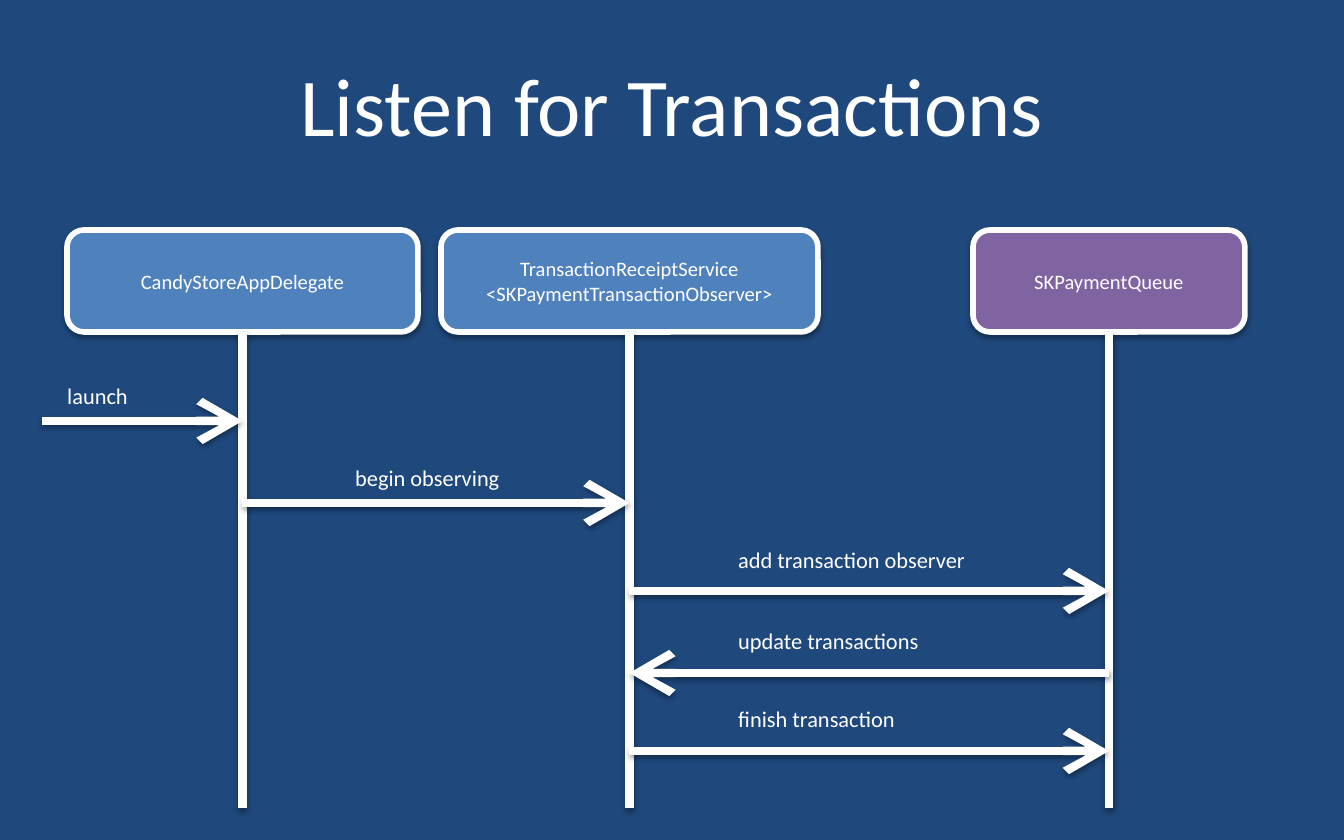
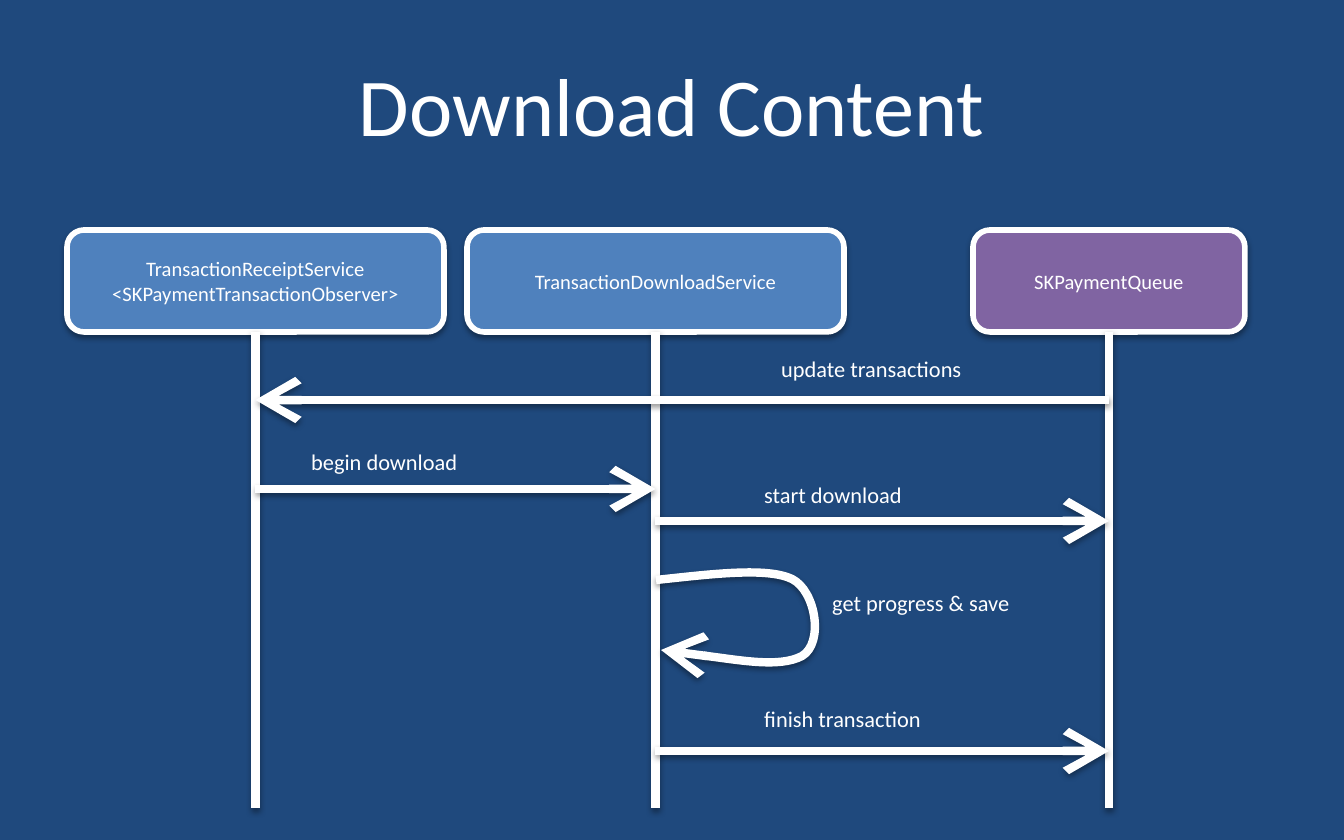
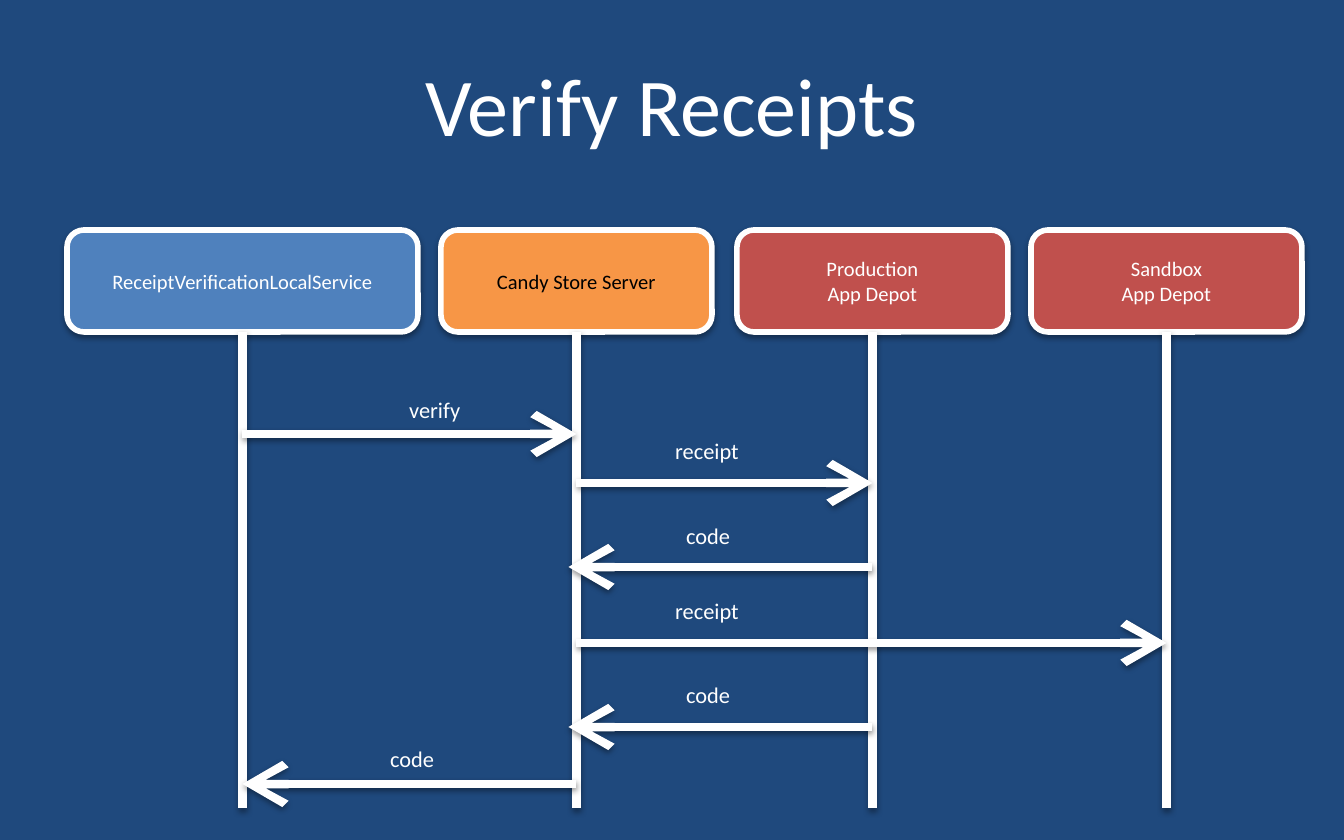
import pptx
import pptx.dml.color
import pptx.enum.shapes
import pptx.enum.text
import pptx.oxml
import pptx.oxml.ns
import pptx.util
from collections import namedtuple

PX = 914400 / 134.4  # EMU in one px
FONT = "Calibri"
NAVY, WHITE, BLACK = "1F497D", "FFFFFF", "000000"
BLUE, PURPLE, ORANGE, RED = "4F81BD", "8064A2", "F79646", "C0504D"
HEAD_HEIGHT = 102
LABEL_HEIGHT = 40

Box = namedtuple("Box", "left top width height")
SLIDE_BOX = Box(0, 0, 1344, 840)
TITLE_BOX = Box(67, 34, 1210, 140)
DIAGRAM_BOX = Box(67, 230, 1235, 578)

Align = pptx.enum.text.PP_ALIGN
Participant = namedtuple("Participant", "name left width fill ink", defaults=[BLUE, WHITE])
# start and end are participant indexes; None means outside the diagram
Message = namedtuple("Message", "start end y label label_left label_width rise overshoot",
                     defaults=[52, 0])
Loop = namedtuple("Loop", "column y label label_box")


def emu(px):
    return pptx.util.Emu(round(px * PX))


def rgb(color):
    return pptx.dml.color.RGBColor.from_string(color)


def placed(box, outer):
    """Box given relative to outer, in EMU on the slide."""
    return (emu(outer.left + box.left), emu(outer.top + box.top),
            emu(box.width), emu(box.height))


def style_text(frame, size, color, align):
    for paragraph in frame.paragraphs:
        paragraph.alignment = align
        for run in paragraph.runs:
            run.font.name = FONT
            run.font.size = pptx.util.Pt(size)
            run.font.color.rgb = rgb(color)


def add_shadow(shape):
    properties = shape._element.spPr
    effects = properties.find(pptx.oxml.ns.qn("a:effectLst"))
    if effects is not None:
        properties.remove(effects)
    properties.append(pptx.oxml.parse_xml(
        f'<a:effectLst {pptx.oxml.ns.nsdecls("a")}>'
        '<a:outerShdw blurRad="40000" dist="20000" dir="5400000" rotWithShape="0">'
        '<a:srgbClr val="000000"><a:alpha val="38000"/></a:srgbClr>'
        '</a:outerShdw></a:effectLst>'))


def style_line(shape, points, arrow=False):
    shape.line.color.rgb = rgb(WHITE)
    shape.line.width = pptx.util.Pt(points)
    if arrow:
        shape.line._get_or_add_ln().append(pptx.oxml.parse_xml(
            f'<a:tailEnd {pptx.oxml.ns.nsdecls("a")} type="arrow" w="lg" len="lg"/>'))
    add_shadow(shape)


def add_line(slide, outer, start, end, arrow=False):
    ends = [emu(origin + offset) for point in (start, end)
            for origin, offset in zip((outer.left, outer.top), point)]
    line = slide.shapes.add_connector(pptx.enum.shapes.MSO_CONNECTOR.STRAIGHT, *ends)
    style_line(line, 4.5, arrow)


def add_label(slide, outer, box, text):
    label = slide.shapes.add_textbox(*placed(box, outer))
    label.text_frame.word_wrap = True
    label.text_frame.text = text
    style_text(label.text_frame, 12, WHITE, Align.LEFT)


def center(participant):
    return participant.left + participant.width / 2


def add_participant(slide, outer, participant):
    head = slide.shapes.add_shape(
        pptx.enum.shapes.MSO_SHAPE.ROUNDED_RECTANGLE,
        *placed(Box(participant.left, 0, participant.width, HEAD_HEIGHT), outer))
    head.fill.solid()
    head.fill.fore_color.rgb = rgb(participant.fill)
    style_line(head, 3)
    head.text_frame.word_wrap = True
    head.text_frame.vertical_anchor = pptx.enum.text.MSO_ANCHOR.MIDDLE
    head.text_frame.text = participant.name
    style_text(head.text_frame, 11, participant.ink, Align.CENTER)
    # lifeline under the head
    x = center(participant)
    add_line(slide, outer, (x, HEAD_HEIGHT), (x, outer.height))


def add_message(slide, outer, centers, message):
    start = -25 if message.start is None else centers[message.start]
    end = centers[message.end] - message.overshoot
    add_line(slide, outer, (start, message.y), (end, message.y), arrow=True)
    add_label(slide, outer, Box(message.label_left, message.y - message.rise,
                                message.label_width, LABEL_HEIGHT), message.label)


def add_loop(slide, outer, centers, loop):
    x = round(outer.left + centers[loop.column])
    y = outer.top + loop.y
    # three curves: two control points and an end point each
    bends = [(56, -6), (111, -13), (136, -1), (160, 11), (168, 63), (146, 76),
             (123, 88), (29, 73), (5, 70)]
    builder = slide.shapes.build_freeform(x, y, scale=PX)
    builder.add_line_segments([(x + dx, y + dy) for dx, dy in bends], close=False)
    curve = builder.convert_to_shape()
    qn = pptx.oxml.ns.qn
    segments = list(curve._element.iter(qn("a:lnTo")))
    outline = segments[0].getparent()
    for first in range(0, len(segments), 3):
        bezier = outline.makeelement(qn("a:cubicBezTo"), {})
        outline.append(bezier)
        for segment in segments[first:first + 3]:
            bezier.append(segment[0])
            outline.remove(segment)
    curve.fill.background()
    style_line(curve, 4.5, arrow=True)
    add_label(slide, outer, loop.label_box, loop.label)


def add_diagram(slide, outer, participants, messages, loops=()):
    centers = [center(participant) for participant in participants]
    for participant in participants:
        add_participant(slide, outer, participant)
    for message in messages:
        add_message(slide, outer, centers, message)
    for loop in loops:
        add_loop(slide, outer, centers, loop)


def add_sequence_slide(prs, title, *diagram):
    slide = prs.slides.add_slide(prs.slide_layouts[5])
    heading = slide.shapes.title
    heading.left, heading.top, heading.width, heading.height = placed(TITLE_BOX, SLIDE_BOX)
    heading.text_frame.text = title
    heading.text_frame.vertical_anchor = pptx.enum.text.MSO_ANCHOR.MIDDLE
    style_text(heading.text_frame, 44, WHITE, Align.CENTER)
    add_diagram(slide, DIAGRAM_BOX, *diagram)


RECEIPT_SERVICE = Participant(
    "TransactionReceiptService\n<SKPaymentTransactionObserver>", 374, 377)
PAYMENT_QUEUE = Participant("SKPaymentQueue", 906, 272, PURPLE)


def main():
    prs = pptx.Presentation()
    prs.slide_width, prs.slide_height = emu(SLIDE_BOX.width), emu(SLIDE_BOX.height)
    background = prs.slide_master.background.fill
    background.solid()
    background.fore_color.rgb = rgb(NAVY)

    add_sequence_slide(
        prs, "Listen for Transactions",
        [Participant("CandyStoreAppDelegate", 0, 351), RECEIPT_SERVICE, PAYMENT_QUEUE],
        [Message(None, 0, 191, "launch", -13, 98, 45),
         Message(0, 1, 273, "begin observing", 275, 198, 45),
         Message(1, 2, 361, "add transaction observer", 658, 294, 51),
         Message(2, 1, 443, "update transactions", 658, 294),
         Message(1, 2, 521, "finish transaction", 658, 293)])

    add_sequence_slide(
        prs, "Download Content",
        [RECEIPT_SERVICE._replace(left=0),
         Participant("TransactionDownloadService", 400, 377), PAYMENT_QUEUE],
        [Message(2, 0, 170, "update transactions", 701, 294, 51),
         Message(0, 1, 259, "begin download", 231, 293, 47),
         Message(1, 2, 291, "start download", 684, 293, 46),
         Message(1, 2, 521, "finish transaction", 684, 293)],
        [Loop(1, 350, "get progress & save", Box(752, 353, 212, 67))])

    add_sequence_slide(
        prs, "Verify Receipts",
        [Participant("ReceiptVerificationLocalService", 0, 351),
         Participant("Candy Store Server", 374, 271, ORANGE, BLACK),
         Participant("Production\nApp Depot", 670, 271, RED),
         Participant("Sandbox\nApp Depot", 964, 271, RED)],
        [Message(0, 1, 204, "verify", 329, 85, 44),
         Message(1, 2, 253, "receipt", 595, 101),
         Message(2, 1, 337, "code", 606, 78, 51, 8),
         Message(1, 3, 413, "receipt", 595, 101),
         Message(2, 1, 497, "code", 606, 78, 52, 8),
         Message(1, 0, 554, "code", 310, 78, 45)])

    prs.save("out.pptx")


if __name__ == "__main__":
    main()
